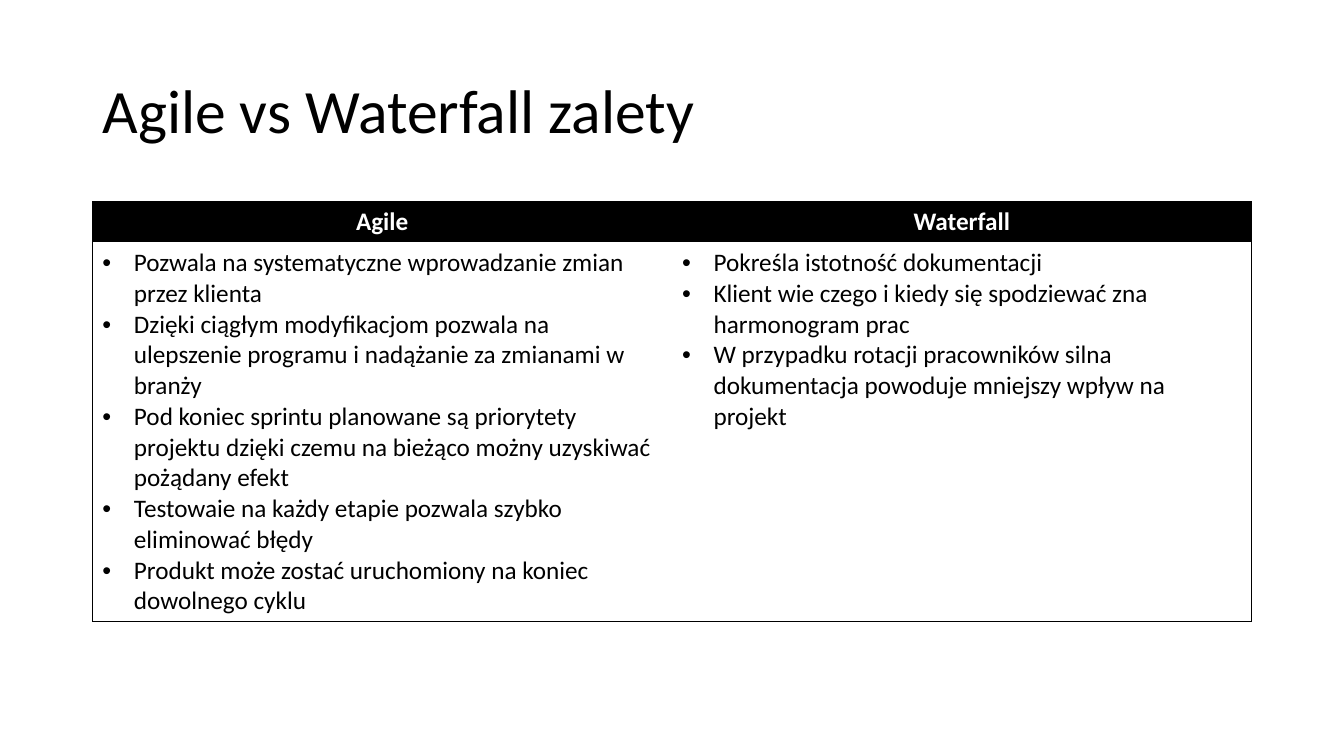
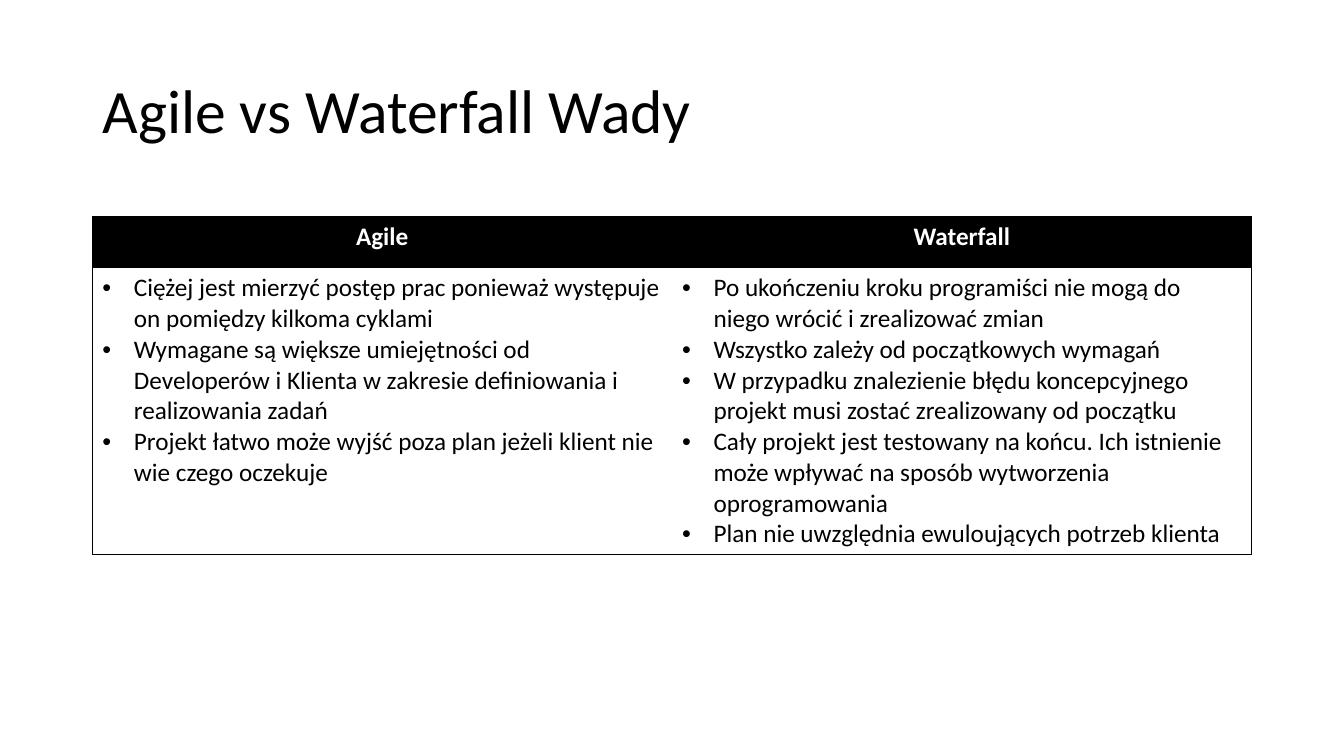
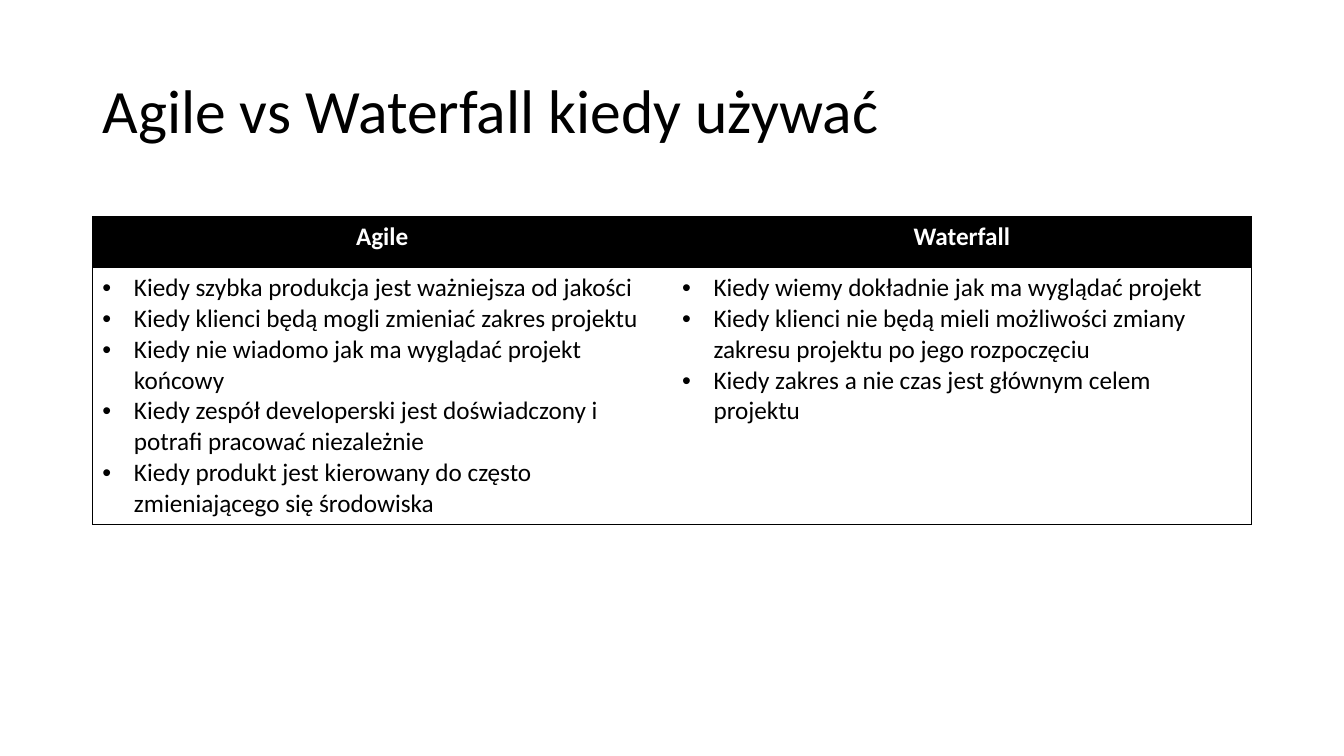
from lxml import etree
from pptx import Presentation
from pptx.dml.color import RGBColor
from pptx.enum.text import MSO_ANCHOR, PP_ALIGN
from pptx.oxml.ns import qn
from pptx.util import Pt

LEFT, CENTER, MIDDLE = PP_ALIGN.LEFT, PP_ALIGN.CENTER, MSO_ANCHOR.MIDDLE

HEADINGS = ("Agile", "Waterfall")
COMPARISONS = [
    {
        "title": "Agile vs Waterfall zalety",
        "top": 144, "heading_height": 29.2, "points_height": 266.7,
        "points": (
            ["Pozwala na systematyczne wprowadzanie zmian przez klienta",
             "Dzięki ciągłym modyfikacjom pozwala na ulepszenie programu i nadążanie za zmianami w branży",
             "Pod koniec sprintu planowane są priorytety projektu dzięki czemu na bieżąco możny uzyskiwać pożądany efekt",
             "Testowaie na każdy etapie pozwala szybko eliminować błędy",
             "Produkt może zostać uruchomiony na koniec dowolnego cyklu"],
            ["Pokreśla istotność dokumentacji",
             "Klient wie czego i kiedy się spodziewać zna harmonogram prac",
             "W przypadku rotacji pracowników silna dokumentacja powoduje mniejszy wpływ na projekt"],
        ),
    },
    {
        "title": "Agile vs Waterfall Wady",
        "top": 154.8, "heading_height": 36.5, "points_height": 201.8,
        "points": (
            ["Ciężej jest mierzyć postęp prac ponieważ występuje on pomiędzy kilkoma cyklami",
             "Wymagane są większe umiejętności od Developerów i Klienta w zakresie definiowania i realizowania zadań",
             "Projekt łatwo może wyjść poza plan jeżeli klient nie wie czego oczekuje"],
            ["Po ukończeniu kroku programiści nie mogą do niego wrócić i zrealizować zmian",
             "Wszystko zależy od początkowych wymagań",
             "W przypadku znalezienie błędu koncepcyjnego projekt musi zostać zrealizowany od początku",
             "Cały projekt jest testowany na końcu. Ich istnienie może wpływać na sposób wytworzenia oprogramowania",
             "Plan nie uwzględnia ewuloujących potrzeb klienta"],
        ),
    },
    {
        "title": "Agile vs Waterfall kiedy używać",
        "top": 154.8, "heading_height": 36.5, "points_height": 180.2,
        "points": (
            ["Kiedy szybka produkcja jest ważniejsza od jakości",
             "Kiedy klienci będą mogli zmieniać zakres projektu",
             "Kiedy nie wiadomo jak ma wyglądać projekt końcowy",
             "Kiedy zespół developerski jest doświadczony i potrafi pracować niezależnie",
             "Kiedy produkt jest kierowany do często zmieniającego się środowiska"],
            ["Kiedy wiemy dokładnie jak ma wyglądać projekt",
             "Kiedy klienci nie będą mieli możliwości zmiany zakresu projektu po jego rozpoczęciu",
             "Kiedy zakres a nie czas jest głównym celem projektu"],
        ),
    },
]

BLACK, WHITE = "000000", "FFFFFF"
SLIDE_WIDTH, SLIDE_HEIGHT = 960, 540
MARGIN = 66
CONTENT_WIDTH = SLIDE_WIDTH - 2 * MARGIN
TITLE_BOX = {"left": MARGIN, "top": 28.75, "width": CONTENT_WIDTH, "height": 104.4}
TITLE_FONT = {"name": "Calibri", "size": Pt(44), "bold": False}
HEADING_FONT = {"name": "Calibri", "size": Pt(18), "bold": True}
POINT_FONT = {**HEADING_FONT, "bold": False}
BULLET_INDENT = 22.5
BORDER_WIDTH = 0.5
PLAIN_TABLE_STYLE = "{2D5ABB26-0587-4C30-8999-92F81FD0307C}"


def color(hex_value):
    """Turn a hex string into a colour."""
    return RGBColor.from_string(hex_value)


def set_attributes(target, values):
    """Set every value of a dict on the target."""
    for name, value in values.items():
        setattr(target, name, value)


def write_paragraphs(frame, lines, font, font_color, alignment):
    """Fill a text frame with one paragraph per line."""
    for index, line in enumerate(lines):
        paragraph = frame.paragraphs[0] if index == 0 else frame.add_paragraph()
        paragraph.alignment = alignment
        run = paragraph.add_run()
        run.text = line
        set_attributes(run.font, font)
        run.font.color.rgb = color(font_color)


def add_bullets(frame):
    """Give every paragraph a hanging round bullet."""
    for paragraph in frame.paragraphs:
        properties = paragraph._p.get_or_add_pPr()
        properties.set("marL", str(Pt(BULLET_INDENT)))
        properties.set("indent", str(-Pt(BULLET_INDENT)))
        etree.SubElement(properties, qn("a:buFont"), typeface="Arial")
        etree.SubElement(properties, qn("a:buChar"), char="•")


def add_borders(cell, sides):
    """Draw the given sides (L, R, T, B, in that order) of a cell."""
    properties = cell._tc.get_or_add_tcPr()
    for side in sides:
        line = etree.SubElement(properties, qn(f"a:ln{side}"), w=str(Pt(BORDER_WIDTH)))
        fill = etree.SubElement(line, qn("a:solidFill"))
        etree.SubElement(fill, qn("a:srgbClr"), val=BLACK)


def add_title(slide, text):
    """Place and format the slide title."""
    title = slide.shapes.title
    set_attributes(title, {side: Pt(value) for side, value in TITLE_BOX.items()})
    set_attributes(title.text_frame, {"vertical_anchor": MIDDLE, "word_wrap": True})
    write_paragraphs(title.text_frame, [text], TITLE_FONT, BLACK, LEFT)
    title.text_frame.paragraphs[0].line_spacing = 0.9


def add_comparison(slide, comparison):
    """Add the table with a heading and bulleted points for each method."""
    heights = comparison["heading_height"], comparison["points_height"]
    frame = slide.shapes.add_table(
        len(heights), len(HEADINGS), Pt(MARGIN), Pt(comparison["top"]),
        Pt(CONTENT_WIDTH), Pt(sum(heights)))
    table = frame.table
    table.horz_banding = False
    next(frame.element.iter(qn("a:tableStyleId"))).text = PLAIN_TABLE_STYLE
    for row, height in zip(table.rows, heights):
        row.height = Pt(height)

    for column, (heading, points) in enumerate(zip(HEADINGS, comparison["points"])):
        outer_side = "L" if column == 0 else "R"
        heading_cell, points_cell = table.cell(0, column), table.cell(1, column)

        add_borders(heading_cell, outer_side + "T")
        heading_cell.fill.solid()
        heading_cell.fill.fore_color.rgb = color(BLACK)
        write_paragraphs(heading_cell.text_frame, [heading], HEADING_FONT, WHITE, CENTER)

        add_borders(points_cell, outer_side + "B")
        points_cell.fill.background()
        write_paragraphs(points_cell.text_frame, points, POINT_FONT, BLACK, LEFT)
        add_bullets(points_cell.text_frame)


def build():
    """Build and save the presentation."""
    presentation = Presentation()
    set_attributes(presentation, {"slide_width": Pt(SLIDE_WIDTH),
                                  "slide_height": Pt(SLIDE_HEIGHT)})
    title_only = presentation.slide_layouts.get_by_name("Title Only")
    for comparison in COMPARISONS:
        slide = presentation.slides.add_slide(title_only)
        add_title(slide, comparison["title"])
        add_comparison(slide, comparison)
    presentation.save("out.pptx")


build()
